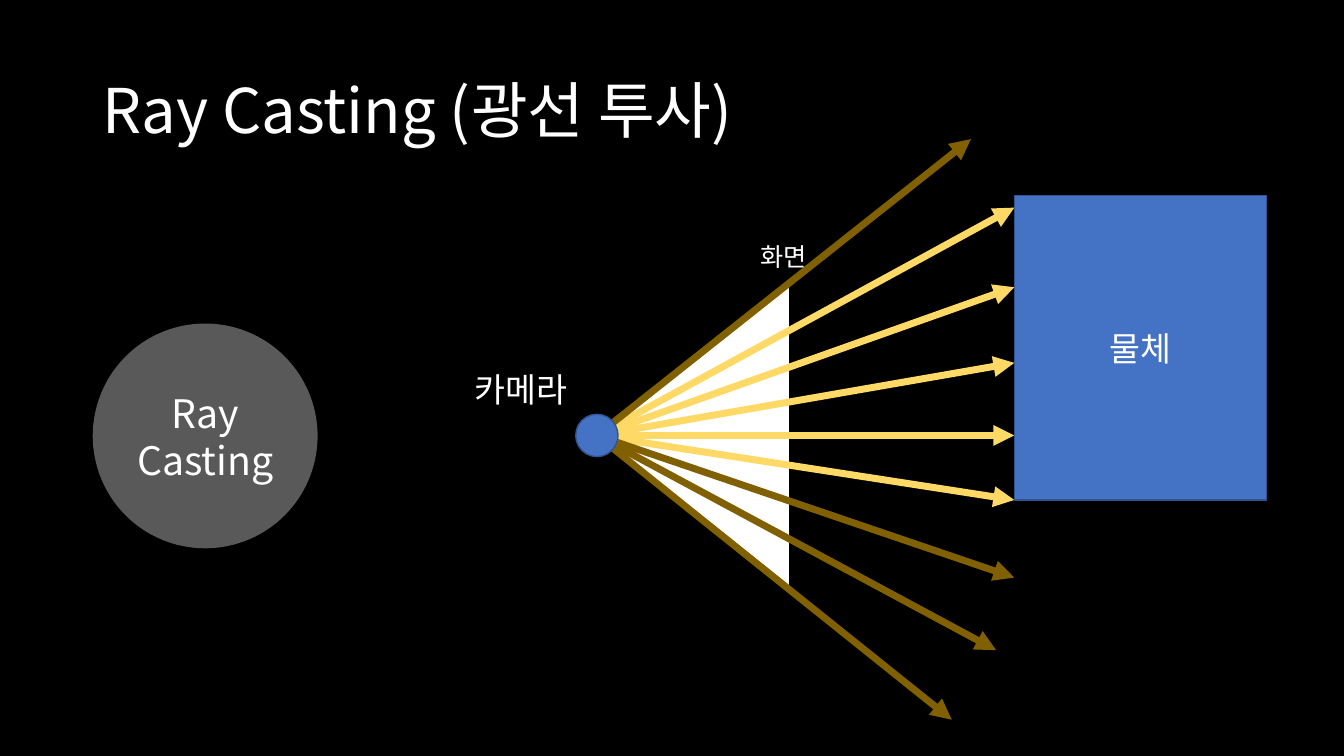
from pptx import Presentation
from pptx import util as u
from pptx.dml import color
from pptx.enum import shapes, text
from pptx.oxml import ns
from lxml import etree

FONT = "Noto Sans CJK KR"
WHITE, BLUE, EDGE, GRAY = "FFFFFF", "4472C4", "325491", "595959"
HIT, MISS = "FFD966", "806000"


def rgb(hex_color):
    return color.RGBColor.from_string(hex_color)


def write(sp, words, size, align=text.PP_ALIGN.LEFT,
          anchor=text.MSO_ANCHOR.TOP, spacing=None):
    tf = sp.text_frame
    tf.word_wrap = True
    tf.vertical_anchor = anchor
    p = tf.paragraphs[0]
    p.alignment = align
    p.line_spacing = spacing
    r = p.add_run()
    r.text = words
    r.font.size = u.Pt(size)
    r.font.name = FONT
    r.font.color.rgb = rgb(WHITE)
    ea = etree.SubElement(r.font._element, ns.qn("a:ea"))
    ea.set("typeface", FONT)


def label(s, box, words, size, **fmt):
    sp = s.shapes.add_textbox(*map(u.Inches, box))
    write(sp, words, size, **fmt)


def shape(s, kind, box, fill, edge=None, words=None, size=24):
    sp = s.shapes.add_shape(kind, *map(u.Inches, box))
    sp.shadow.inherit = False
    sp.fill.solid()
    sp.fill.fore_color.rgb = rgb(fill)
    if edge:
        sp.line.color.rgb = rgb(edge)
        sp.line.width = u.Pt(1)
    else:
        sp.line.fill.background()
    if words:
        write(sp, words, size, text.PP_ALIGN.CENTER, text.MSO_ANCHOR.MIDDLE)
    return sp


def ray(s, start, end, hex_color):
    cx = s.shapes.add_connector(shapes.MSO_CONNECTOR.STRAIGHT,
                                *map(u.Inches, start + end))
    cx.line.color.rgb = rgb(hex_color)
    cx.line.width = u.Pt(5)
    tail = etree.SubElement(cx.line._get_or_add_ln(), ns.qn("a:tailEnd"))
    tail.set("type", "triangle")
    etree.SubElement(cx._element.spPr, ns.qn("a:effectLst"))


def ray_diagram(s, box):
    x, y, w, h = box
    eye = (x + 1.31, y + 2.94)
    face = x + 5.45
    radius = 0.21
    view_w, view_h = 3.02, 1.91

    view = shape(s, shapes.MSO_SHAPE.TRAPEZOID,
                 (x + 0.75, y + 1.99, view_w, view_h), WHITE)
    view.rotation = 270
    view.adjustments[0] = view_w / 2 / view_h

    rays = [
        (face, 2.94, HIT), (face, 3.58, HIT), (face, 4.35, MISS),
        (x + 5.27, 5.07, MISS), (x + 4.83, 5.76, MISS),
        (face, 2.22, HIT), (face, 1.47, HIT), (face, 0.68, HIT),
        (x + 5.02, 0, MISS),
    ]
    for end_x, drop, hex_color in rays:
        ray(s, eye, (end_x, y + drop), hex_color)

    shape(s, shapes.MSO_SHAPE.RECTANGLE, (face, y + 0.56, x + w - face, 3.02),
          BLUE, EDGE, "물체")
    shape(s, shapes.MSO_SHAPE.OVAL,
          (eye[0] - radius, eye[1] - radius, 2 * radius, 2 * radius),
          BLUE, EDGE)
    label(s, (x + 2.83, y + 0.96, 0.76, 0.4), "화면", 18)
    label(s, (x, y + 2.23, 1.3, 0.5), "카메라", 24)


def main():
    prs = Presentation()
    prs.slide_width, prs.slide_height = u.Inches(13.33), u.Inches(7.5)
    s = prs.slides.add_slide(prs.slide_layouts[6])
    s.background.fill.solid()
    s.background.fill.fore_color.rgb = rgb("000000")

    label(s, (0.92, 0.4, 11.5, 1.45), "Ray Casting (광선 투사)", 44,
          anchor=text.MSO_ANCHOR.MIDDLE, spacing=0.9)
    shape(s, shapes.MSO_SHAPE.OVAL, (0.92, 3.21, 2.23, 2.23), GRAY,
          words="Ray Casting", size=28)
    ray_diagram(s, (4.61, 1.38, 7.95, 5.76))
    prs.save("out.pptx")


if __name__ == "__main__":
    main()
